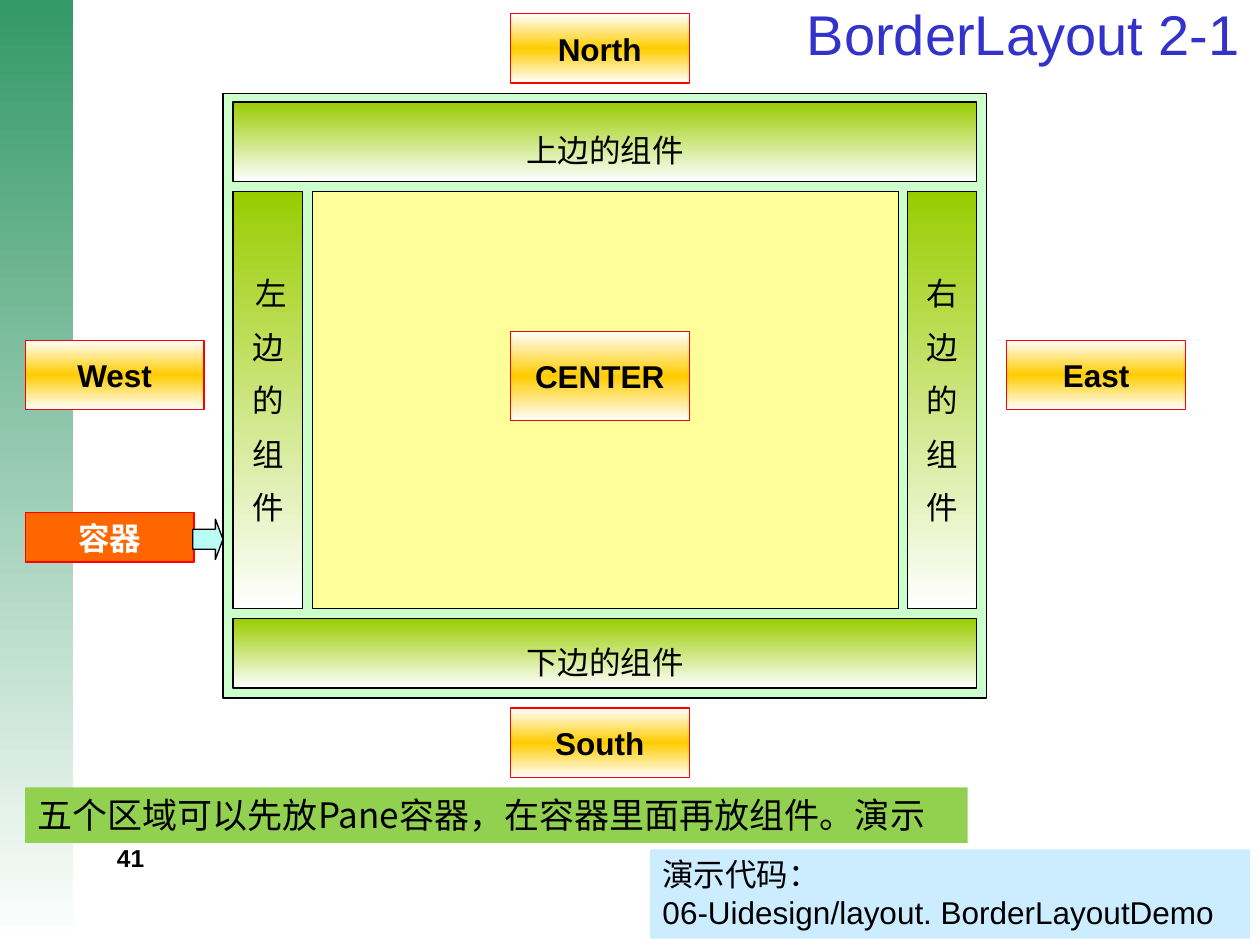
from lxml.etree import SubElement
from pptx import Presentation
from pptx.dml.color import RGBColor
from pptx.enum.shapes import MSO_SHAPE
from pptx.enum.text import MSO_ANCHOR, PP_ALIGN
from pptx.oxml.ns import qn
from pptx.util import Inches, Pt

COLORS = {
    "black": "000000", "white": "FFFFFF", "red": "FF0000", "title": "3333CC",
    "side": "339966", "frame": "CCFFCC", "region": "99CC00", "center": "FFFF99",
    "label": "FFCC00", "container": "FF6600", "arrow": "B9FDF3",
    "banner": "92D050", "code": "CCECFF",
}


class Deck:
    font = "Arial"

    def __init__(self, prs):
        self.s = prs.slides.add_slide(prs.slide_layouts[6])

    def color(self, name):
        return RGBColor.from_string(COLORS[name])

    def gradient(self, sp, names):
        sp.fill.gradient()
        sp.fill.gradient_angle = 270
        stops = sp._element.spPr.find(qn("a:gradFill")).find(qn("a:gsLst"))
        for gs in list(stops):
            stops.remove(gs)
        for i, name in enumerate(names):
            gs = SubElement(stops, qn("a:gs"), pos=str(100000 * i // (len(names) - 1)))
            SubElement(gs, qn("a:srgbClr"), val=COLORS[name])

    def shape(self, box, fill, line=None, kind=MSO_SHAPE.RECTANGLE):
        sp = self.s.shapes.add_shape(kind, *map(Inches, box))
        sp.shadow.inherit = False
        if isinstance(fill, str):
            sp.fill.solid()
            sp.fill.fore_color.rgb = self.color(fill)
        else:
            self.gradient(sp, fill)
        if line:
            sp.line.color.rgb = self.color(line)
            sp.line.width = Pt(0.75)
        else:
            sp.line.fill.background()
        return sp

    def set_text(self, sp, lines, size=18, color="black", bold=False, font=None,
                 align=PP_ALIGN.CENTER, anchor=MSO_ANCHOR.MIDDLE, wrap=False, before=0):
        tf = sp.text_frame
        tf.word_wrap = wrap
        tf.vertical_anchor = anchor
        for i, line in enumerate(lines):
            p = tf.paragraphs[0] if i == 0 else tf.add_paragraph()
            p.text = line
            p.alignment = align
            p.font.name = font or self.font
            p.font.size = Pt(size)
            p.font.bold = bold
            p.font.color.rgb = self.color(color)
            if before:
                spc = SubElement(p._p.get_or_add_pPr(), qn("a:spcBef"))
                p._p.pPr.insert(0, spc)
                SubElement(spc, qn("a:spcPct"), val=str(before * 1000))

    def text(self, box, line, **style):
        self.set_text(self.s.shapes.add_textbox(*map(Inches, box)), [line], wrap=True, **style)

    def region(self, box, lines, top=0.05):
        sp = self.shape(box, ("region", "white"), "black")
        sp.text_frame.margin_top = Inches(top)
        self.set_text(sp, lines, before=50)

    def label(self, left, top, word, height=0.55):
        sp = self.shape((left, top, 1.42, height), ("white", "label", "white"), "red")
        self.set_text(sp, [word], bold=True)

    def note(self, box, fill, lines, **style):
        self.set_text(self.shape(box, fill), lines, align=PP_ALIGN.LEFT,
                      anchor=MSO_ANCHOR.TOP, wrap=True, **style)


def main():
    prs = Presentation()
    prs.slide_width, prs.slide_height = Inches(10), Inches(7.5)
    d = Deck(prs)

    d.shape((0, 0, 0.58, 7.5), ("side", "white"))
    d.text((0.83, 6.64, 2.33, 0.24), "41", size=14, bold=True,
           align=PP_ALIGN.LEFT, anchor=MSO_ANCHOR.TOP)
    d.text((0.69, 0.05, 9.25, 0.42), "BorderLayout 2-1", size=32, color="title",
           align=PP_ALIGN.RIGHT)

    d.shape((1.77, 0.74, 6.06, 4.8), "frame", "black")
    d.region((1.85, 0.81, 5.9, 0.63), ["上边的组件"], top=0.18)
    d.region((1.85, 4.91, 5.9, 0.55), ["下边的组件"], top=0.18)
    for left, first in ((1.85, " 左"), (7.2, "右")):
        d.region((left, 1.52, 0.55, 3.31), [first, *"边的组件"])
    d.shape((2.48, 1.52, 4.65, 3.31), "center", "black")

    container = d.shape((0.2, 4.07, 1.34, 0.39), "container", "red")
    d.set_text(container, ["容器"], color="white", bold=True)
    arrow = d.shape((1.53, 4.12, 0.24, 0.32), "arrow", "black", MSO_SHAPE.RIGHT_ARROW)
    arrow.adjustments[0], arrow.adjustments[1] = 0.5, 0.25

    for left, top, word in ((4.05, 0.11, "North"), (4.05, 5.62, "South"),
                            (7.99, 2.7, "East"), (0.2, 2.7, "West")):
        d.label(left, top, word)
    d.label(4.05, 2.63, "CENTER", height=0.71)

    d.note((0.2, 6.25, 7.48, 0.44), "banner",
           ["五个区域可以先放Pane容器，在容器里面再放组件。演示"],
           size=20, font="Noto Sans CJK SC")
    d.note((5.16, 6.74, 4.76, 0.71), "code",
           ["演示代码：", "06-Uidesign/layout. BorderLayoutDemo"])

    prs.save("out.pptx")


if __name__ == "__main__":
    main()
